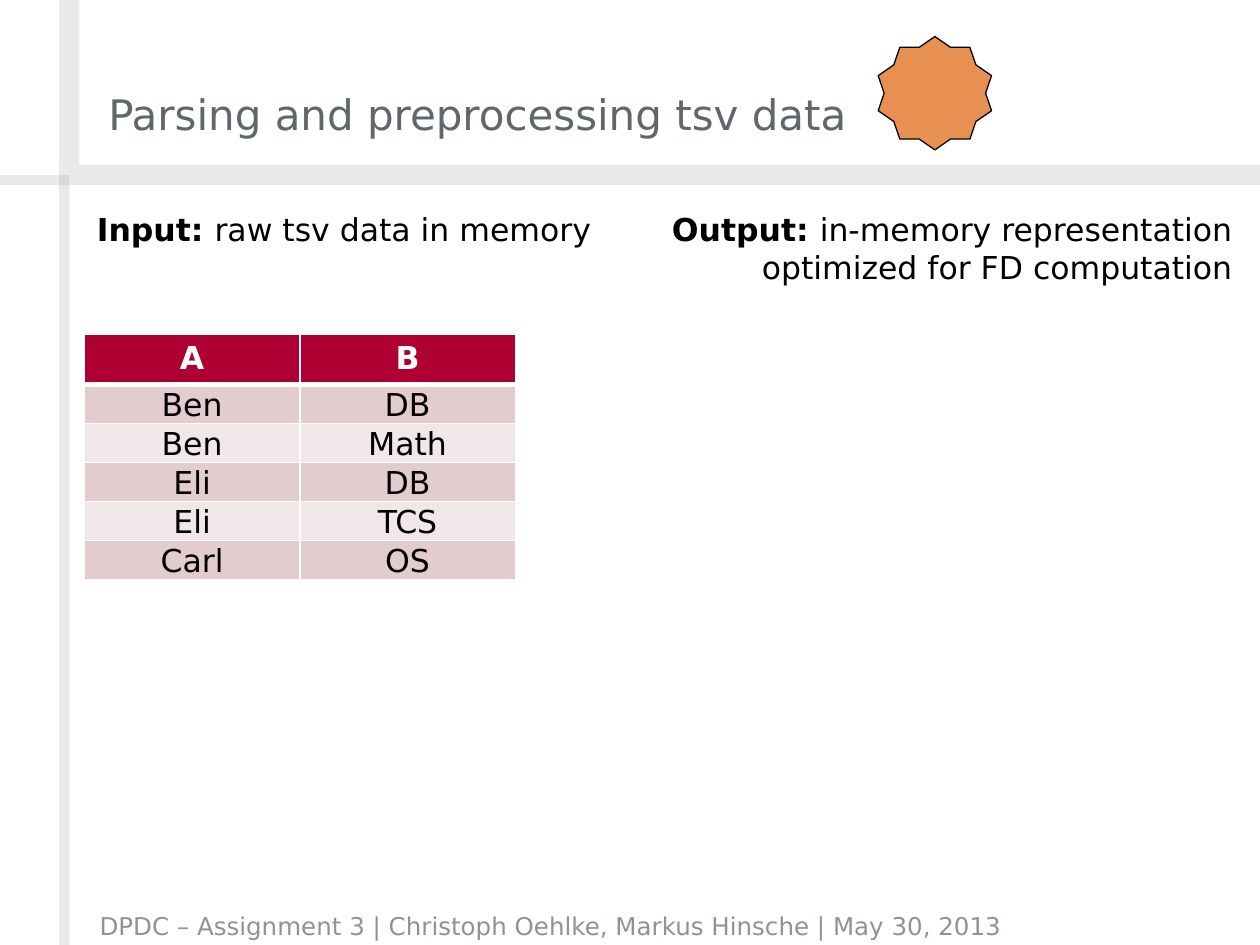
from lxml import etree
from pptx import Presentation
from pptx.dml.color import RGBColor
from pptx.enum.shapes import MSO_SHAPE
from pptx.enum.text import MSO_ANCHOR, MSO_AUTO_SIZE, PP_ALIGN
from pptx.oxml.ns import qn
from pptx.util import Inches, Pt

RECT, STAR = MSO_SHAPE.RECTANGLE, MSO_SHAPE.STAR_10_POINT
LEFT, CENTER, RIGHT = PP_ALIGN.LEFT, PP_ALIGN.CENTER, PP_ALIGN.RIGHT
TOP, BOTTOM = MSO_ANCHOR.TOP, MSO_ANCHOR.BOTTOM
FIXED = MSO_AUTO_SIZE.NONE
FONT = "DejaVu Sans"
COLORS = {
    "title": "60676A", "gray": "8E9496", "star": "E79052",
    "black": "000000", "white": "FFFFFF",
    "head": "AF0034", "odd": "E3CCCE", "even": "F2E7E8",
}


def style(para, size, color, align=LEFT):
    """Set the font and alignment of a paragraph."""
    para.alignment = align
    para.font.name = FONT
    para.font.size = Pt(size)
    para.font.color.rgb = RGBColor.from_string(COLORS[color])


def border(cell, side, width):
    """Draw a white line on one side of a table cell."""
    line = etree.SubElement(cell._tc.get_or_add_tcPr(), qn(f"a:ln{side}"),
                            w=str(Pt(width)))
    fill = etree.SubElement(line, qn("a:solidFill"))
    etree.SubElement(fill, qn("a:srgbClr"), val=COLORS["white"])


prs = Presentation()
prs.slide_width, prs.slide_height = Inches(10), Inches(7.5)
slide = prs.slides.add_slide(prs.slide_layouts[5])
shapes = slide.shapes

# Translucent frame bars
bars = [(0.47, 0, 0.16, 1.31), (0.47, 1.31, 9.53, 0.16),
        (0.47, 1.47, 0.08, 6.03), (0, 1.39, 0.55, 0.08)]
for box in bars:
    bar = shapes.add_shape(RECT, *map(Inches, box))
    bar.shadow.inherit = False
    bar.line.fill.background()
    bar.fill.solid()
    bar.fill.fore_color.rgb = RGBColor.from_string(COLORS["gray"])
    tint = bar._element.spPr.find(".//" + qn("a:srgbClr"))
    etree.SubElement(tint, qn("a:alpha"), val="20000")

# Title and footer
title = shapes.title
title.left, title.top = Inches(0.86), Inches(0)
title.width, title.height = Inches(6.83), Inches(1.1)
foot = shapes.add_textbox(*map(Inches, (0.79, 7.18, 8.94, 0.28)))
labels = [
    (title, "Parsing and preprocessing tsv data", 24, "title"),
    (foot, "DPDC – Assignment 3 | Christoph Oehlke, Markus Hinsche | May 30, 2013",
     14, "gray"),
]
for shape, text, size, color in labels:
    frame = shape.text_frame
    frame.text = text
    frame.word_wrap = True
    frame.auto_size = FIXED
    frame.vertical_anchor = BOTTOM
    frame.margin_left = frame.margin_right = 0
    frame.margin_top = frame.margin_bottom = 0
    style(frame.paragraphs[0], size, color)

star = shapes.add_shape(STAR, *map(Inches, (6.97, 0.29, 0.9, 0.9)))
star.shadow.inherit = False
star.fill.solid()
star.fill.fore_color.rgb = RGBColor.from_string(COLORS["star"])
star.line.color.rgb = RGBColor.from_string(COLORS["black"])
star.line.width = Pt(0.75)

# Input and output notes
notes = [
    ((0.67, 1.62, 4.49, 0.4), LEFT, "Input: ", "raw tsv data in memory"),
    ((5, 1.62, 4.88, 0.71), RIGHT, "Output: ",
     "in-memory representation optimized for FD computation"),
]
for box, align, lead, rest in notes:
    frame = shapes.add_textbox(*map(Inches, box)).text_frame
    frame.word_wrap = True
    para = frame.paragraphs[0]
    style(para, 18, "black", align)
    for text, bold in ((lead, True), (rest, False)):
        run = para.add_run()
        run.text = text
        run.font.bold = bold

# Sample data
rows = [("A", "B"), ("Ben", "DB"), ("Ben", "Math"),
        ("Eli", "DB"), ("Eli", "TCS"), ("Carl", "OS")]
table = shapes.add_table(len(rows), 2, Inches(0.67), Inches(2.65),
                         Inches(3.42), Inches(1.94)).table
for r, row in enumerate(rows):
    head = r == 0
    table.rows[r].height = Inches(0.39 if head else 0.31)
    shade = "head" if head else "odd" if r % 2 else "even"
    for c, text in enumerate(row):
        cell = table.cell(r, c)
        cell.text = text
        para = cell.text_frame.paragraphs[0]
        style(para, 18, "white" if head else "black", CENTER)
        para.font.bold = head
        cell.vertical_anchor = TOP if head else BOTTOM
        if not head:
            cell.margin_left = cell.margin_right = Inches(0.01)
            cell.margin_top, cell.margin_bottom = Inches(0.01), 0
        for side in "LRTB":
            thick = (head and side == "B") or (r == 1 and side == "T")
            border(cell, side, 3 if thick else 1)
        cell.fill.solid()
        cell.fill.fore_color.rgb = RGBColor.from_string(COLORS[shade])

prs.save("out.pptx")
